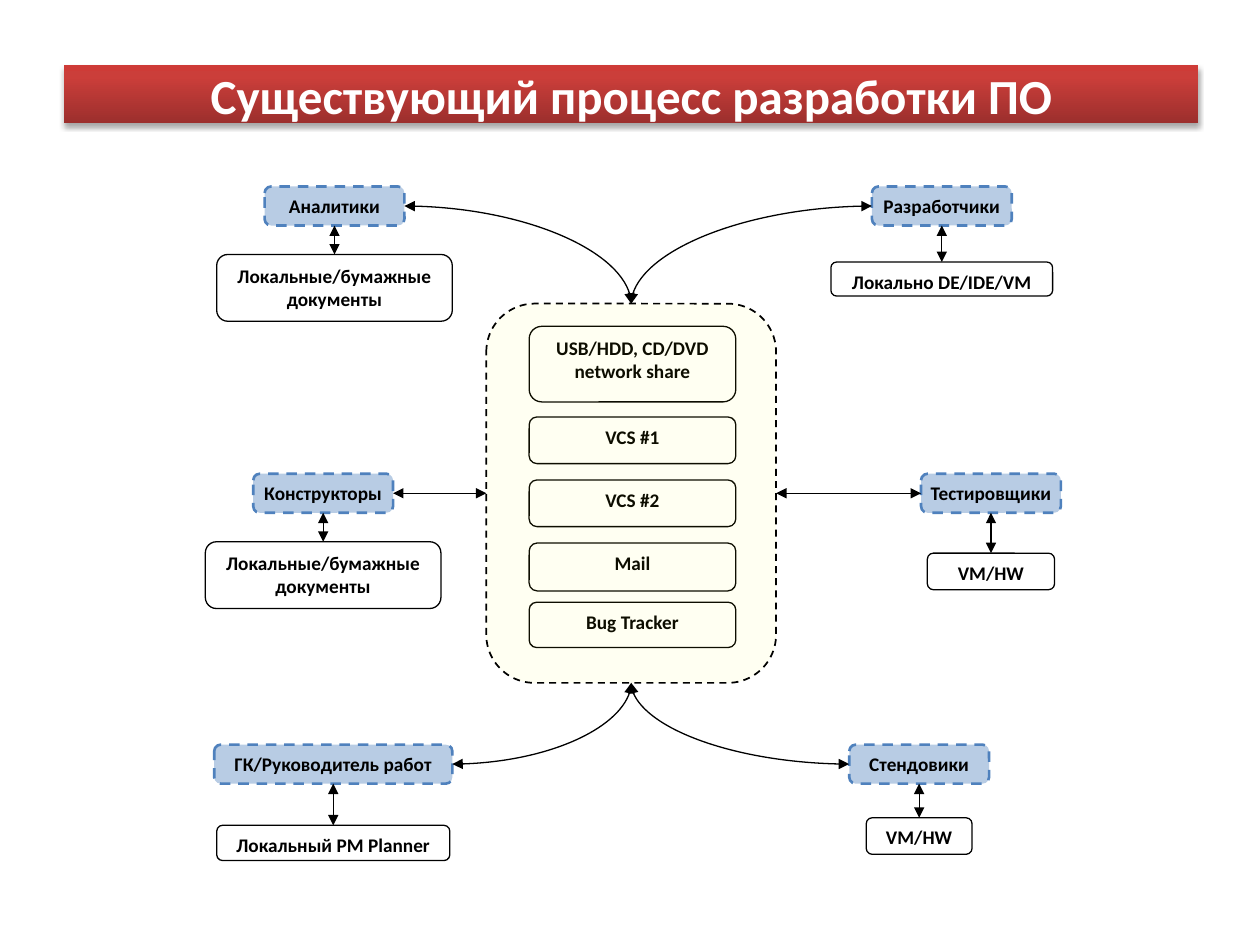
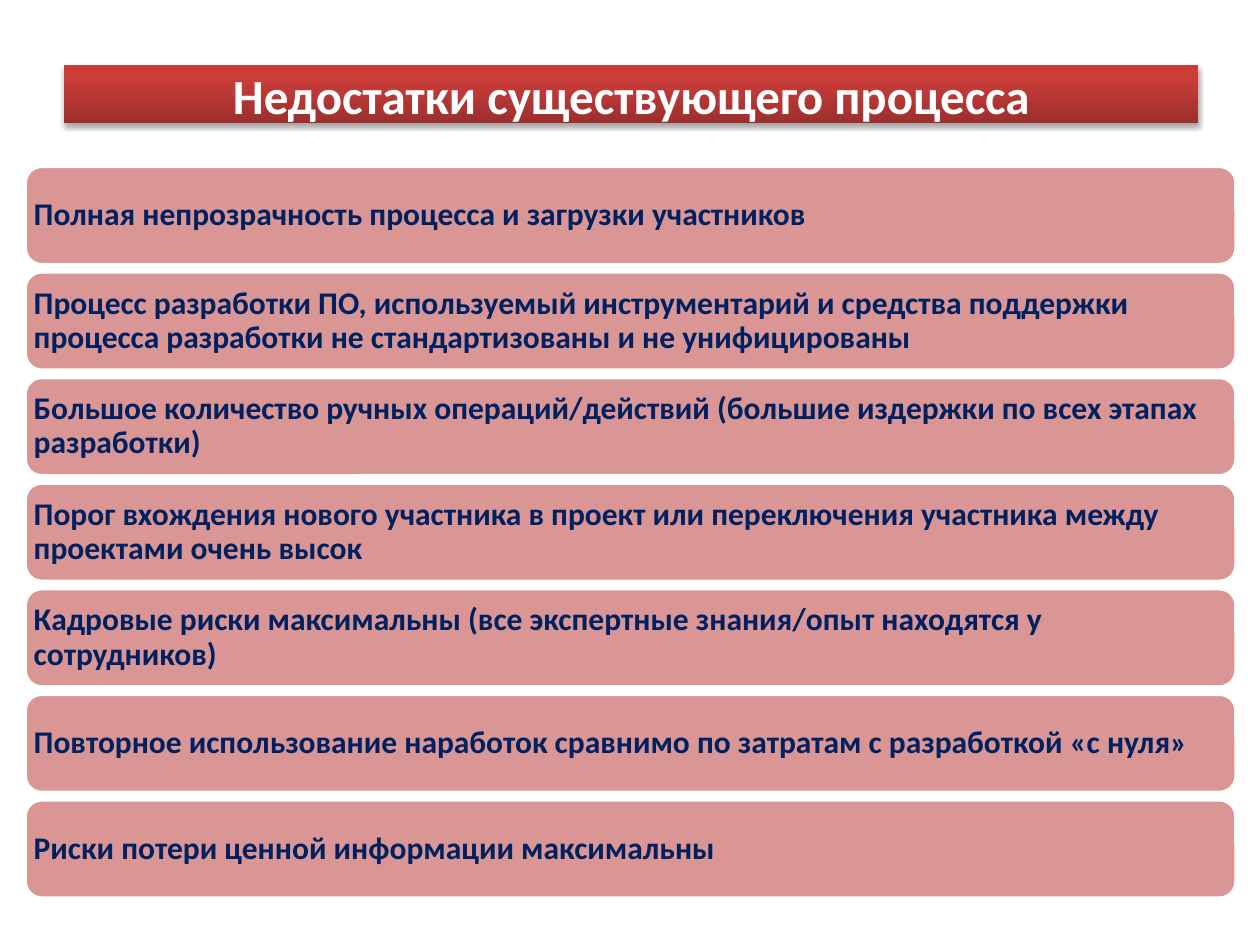
from lxml import etree
from pptx import Presentation
from pptx.dml.color import RGBColor
from pptx.enum.dml import MSO_LINE
from pptx.enum.shapes import MSO_CONNECTOR, MSO_SHAPE
from pptx.enum.text import MSO_ANCHOR, PP_ALIGN
from pptx.oxml import parse_xml
from pptx.oxml.ns import nsdecls, qn
from pptx.util import Inches, Pt

RECTANGLE = MSO_SHAPE.RECTANGLE
ROUNDED = MSO_SHAPE.ROUNDED_RECTANGLE
STRAIGHT = MSO_CONNECTOR.STRAIGHT
CURVE = MSO_CONNECTOR.CURVE
DASH = MSO_LINE.DASH
TOP_ANCHOR = MSO_ANCHOR.TOP
MIDDLE = MSO_ANCHOR.MIDDLE
CENTER = PP_ALIGN.CENTER
LEFT_ALIGN = PP_ALIGN.LEFT

TOP, LEFT, BOTTOM, RIGHT = range(4)

BLACK = RGBColor(0x00, 0x00, 0x00)
WHITE = RGBColor(0xFF, 0xFF, 0xFF)
YELLOW = RGBColor(0xFF, 0xFF, 0x00)
PALE_BLUE = RGBColor(0xB8, 0xCC, 0xE4)
BLUE = RGBColor(0x4F, 0x81, 0xBD)
PINK = RGBColor(0xD9, 0x96, 0x94)
NAVY = RGBColor(0x00, 0x20, 0x60)
BAND_STOPS = (
    (0, RGBColor(0x9C, 0x2F, 0x2D)),
    (80, RGBColor(0xCB, 0x3E, 0x3A)),
    (100, RGBColor(0xCE, 0x3B, 0x37)),
)

FONT = "Calibri"
COLUMNS, ROWS = 100, 75
ROLE_HEIGHT = 3.1

STORES = (
    ("USB/HDD, CD/DVD network share", 25.9, 6),
    ("VCS #1", 33.1, 3.7),
    ("VCS #2", 38.1, 3.7),
    ("Mail", 43.1, 3.8),
    ("Bug Tracker", 47.8, 3.6),
)

DOCUMENTS = ("Локальные/бумажные документы", 18.7, 5.3, 2.3)
ROLES = (
    ("Аналитики", 21, 14.8, 11.1, RIGHT, TOP, DOCUMENTS),
    ("Разработчики", 69.2, 14.8, 11.1, LEFT, TOP,
     ("Локально DE/IDE/VM", 17.6, 2.7, 2.9)),
    ("Конструкторы", 20.1, 37.6, 11.1, RIGHT, LEFT, DOCUMENTS),
    ("Тестировщики", 73.1, 37.6, 11.1, LEFT, RIGHT,
     ("VM/HW", 10.1, 2.9, 3.2)),
    ("ГК/Руководитель работ", 17, 59.1, 18.9, RIGHT, BOTTOM,
     ("Локальный PM Planner", 18.5, 2.8, 3.3)),
    ("Стендовики", 67.4, 59.1, 11.1, LEFT, BOTTOM,
     ("VM/HW", 8.4, 2.9, 2.7)),
)

DRAWBACKS = (
    "Полная непрозрачность процесса и загрузки участников",
    "Процесс разработки ПО, используемый инструментарий и средства поддержки "
    "процесса разработки не стандартизованы и не унифицированы",
    "Большое количество ручных операций/действий (большие издержки по всех "
    "этапах разработки)",
    "Порог вхождения нового участника в проект или переключения участника "
    "между проектами очень высок",
    "Кадровые риски максимальны (все экспертные знания/опыт находятся у "
    "сотрудников)",
    "Повторное использование наработок сравнимо по затратам с разработкой "
    "«с нуля»",
    "Риски потери ценной информации максимальны",
)


class Deck:
    def __init__(self):
        self.presentation = Presentation()
        self.presentation.slide_width = Inches(10)
        self.presentation.slide_height = Inches(7.5)
        self.column = self.presentation.slide_width / COLUMNS
        self.row = self.presentation.slide_height / ROWS
        self.slide = None

    def add_slide(self, title):
        layout = self.presentation.slide_layouts[6]
        self.slide = self.presentation.slides.add_slide(layout)
        self.title_band(title)

    def box(self, preset, left, top, width, height, fill=WHITE, line=None,
            line_width=0.75, dash=None):
        shape = self.slide.shapes.add_shape(
            preset, round(left * self.column), round(top * self.row),
            round(width * self.column), round(height * self.row))
        shape.shadow.inherit = False
        shape.fill.solid()
        shape.fill.fore_color.rgb = fill
        if line is None:
            shape.line.fill.background()
        else:
            shape.line.color.rgb = line
            shape.line.width = Pt(line_width)
            if dash is not None:
                shape.line.dash_style = dash
        return shape

    def label(self, shape, text, size=11, color=BLACK, align=CENTER,
              anchor=TOP_ANCHOR, inset=None, line_spacing=None):
        frame = shape.text_frame
        frame.word_wrap = True
        frame.vertical_anchor = anchor
        if inset is not None:
            frame.margin_left = frame.margin_right = Inches(inset)
            frame.margin_top = frame.margin_bottom = Inches(inset)
        frame.text = text
        paragraph = frame.paragraphs[0]
        paragraph.alignment = align
        if line_spacing is not None:
            paragraph.line_spacing = line_spacing
        for run in paragraph.runs:
            run.font.name = FONT
            run.font.size = Pt(size)
            run.font.bold = True
            run.font.color.rgb = color

    def title_band(self, title):
        band = self.box(RECTANGLE, 5.1, 5.2, 90, 4.6)
        stops = "".join(
            f'<a:gs pos="{share * 1000}"><a:srgbClr val="{color}"/></a:gs>'
            for share, color in BAND_STOPS)
        gradient = parse_xml(
            f'<a:gradFill {nsdecls("a")} rotWithShape="1"><a:gsLst>{stops}</a:gsLst>'
            '<a:lin ang="16200000" scaled="0"/></a:gradFill>')
        properties = band._element.spPr
        properties.replace(properties.find(qn("a:solidFill")), gradient)
        properties.find(qn("a:effectLst")).append(parse_xml(
            f'<a:outerShdw {nsdecls("a")} blurRad="{Pt(3.1)}" dist="{Pt(1.8)}" '
            'dir="5400000" rotWithShape="0"><a:srgbClr val="000000">'
            '<a:alpha val="35000"/></a:srgbClr></a:outerShdw>'))
        self.label(band, title, size=28, color=WHITE, anchor=MIDDLE)

    def note(self, text, left, top, width, height):
        shape = self.box(ROUNDED, left, top, width, height, line=BLACK)
        self.label(shape, text)
        return shape

    def role(self, text, left, top, width):
        shape = self.box(ROUNDED, left, top, width, ROLE_HEIGHT, PALE_BLUE,
                         BLUE, 1.5, DASH)
        self.label(shape, text, anchor=MIDDLE, inset=0.04)
        return shape

    def hub(self, left, top, width, height):
        shape = self.box(ROUNDED, left, top, width, height, YELLOW, BLACK, 1, DASH)
        color = shape._element.spPr.find(qn("a:solidFill"))[0]
        etree.SubElement(color, qn("a:alpha"), val="5000")
        return shape

    def card(self, text, left, top, width, height):
        shape = self.box(ROUNDED, left, top, width, height, PINK, WHITE, 2)
        self.label(shape, text, size=18, color=NAVY, align=LEFT_ALIGN,
                   anchor=MIDDLE, inset=0.03, line_spacing=0.9)

    def link(self, start, start_side, end, end_side, kind=STRAIGHT):
        connector = self.slide.shapes.add_connector(kind, 0, 0, 0, 0)
        connector.begin_connect(start, start_side)
        connector.end_connect(end, end_side)
        connector.line.color.rgb = BLACK
        connector.line.width = Pt(0.75)
        properties = connector._element.spPr
        if kind == CURVE:
            properties.find(qn("a:prstGeom")).set("prst", "curvedConnector2")
        line = properties.find(qn("a:ln"))
        for tip in ("a:headEnd", "a:tailEnd"):
            etree.SubElement(line, qn(tip), type="triangle")
        etree.SubElement(properties, qn("a:effectLst"))


def build_process(deck):
    deck.add_slide("Существующий процесс разработки ПО")
    for text, top, height in STORES:
        deck.note(text, 42, top, 16.4, height)
    hub = deck.hub(38.6, 24.1, 23, 30.1)
    for text, left, top, width, role_side, hub_side, note in ROLES:
        role = deck.role(text, left, top, width)
        note_text, note_width, note_height, gap = note
        storage = deck.note(note_text, left + (width - note_width) / 2,
                            top + ROLE_HEIGHT + gap, note_width, note_height)
        deck.link(role, BOTTOM, storage, TOP)
        kind = CURVE if hub_side in (TOP, BOTTOM) else STRAIGHT
        deck.link(role, role_side, hub, hub_side, kind)


def build_drawbacks(deck):
    deck.add_slide("Недостатки существующего процесса")
    for index, text in enumerate(DRAWBACKS):
        deck.card(text, 2, 13.2 + index * 8.38, 96.1, 7.8)


def main():
    deck = Deck()
    build_process(deck)
    build_drawbacks(deck)
    deck.presentation.save("out.pptx")


if __name__ == "__main__":
    main()
